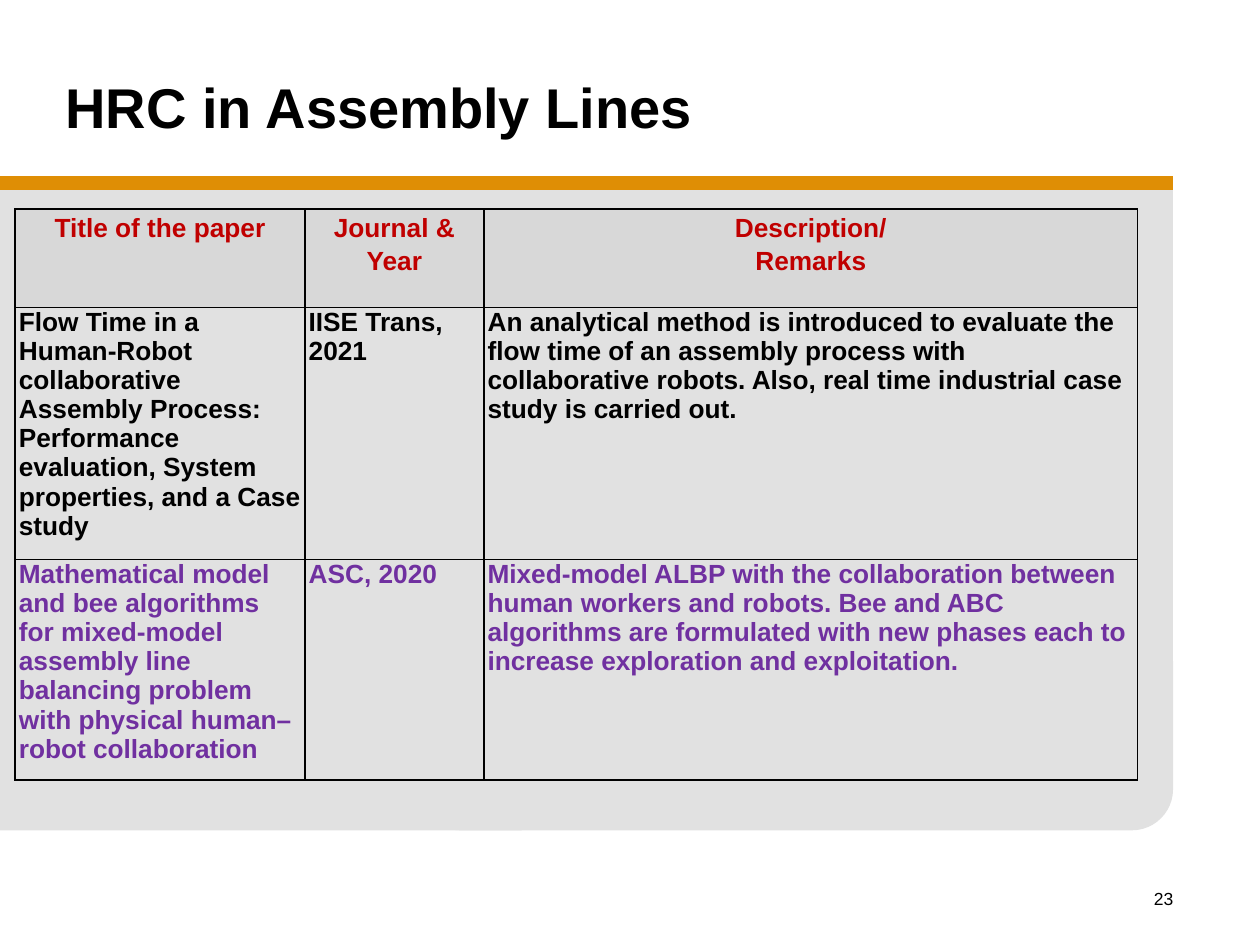
from lxml import etree
from pptx import Presentation
from pptx.dml.color import RGBColor
from pptx.enum.shapes import MSO_CONNECTOR, MSO_SHAPE
from pptx.enum.text import MSO_ANCHOR, MSO_AUTO_SIZE, PP_ALIGN
from pptx.oxml import parse_xml
from pptx.oxml.ns import nsdecls, qn
from pptx.util import Inches, Pt

RECT = MSO_SHAPE.RECTANGLE
ROUNDED = MSO_SHAPE.ROUNDED_RECTANGLE
STRAIGHT = MSO_CONNECTOR.STRAIGHT
LEFT, CENTER, RIGHT = PP_ALIGN.LEFT, PP_ALIGN.CENTER, PP_ALIGN.RIGHT
TOP, MIDDLE = MSO_ANCHOR.TOP, MSO_ANCHOR.MIDDLE
NO_AUTOFIT = MSO_AUTO_SIZE.NONE

FONT = "Arial"
COLORS = {
    "text": "000000",
    "panel": "E1E1E1",
    "rule": "DF8E05",
    "header_fill": "D8D8D8",
    "header_text": "C00000",
    "highlight": "7030A0",
}
TITLE_ONLY_LAYOUT = 5
PANEL_RIGHT = 9.31
COLUMN_WIDTHS = [2.3, 1.42, 5.19]
ROW_HEIGHTS = [0.78, 2, 1.75]
PAPERS = [
    ("header_text", ["Title of the paper", "Journal & Year", "Description/\nRemarks"]),
    ("text", [
        "Flow Time in a Human-Robot collaborative Assembly Process: "
        "Performance evaluation, System properties, and a Case study",
        "IISE Trans, 2021",
        "An analytical method is introduced to evaluate the flow time of an assembly "
        "process with collaborative robots. Also, real time industrial case study is "
        "carried out.",
    ]),
    ("highlight", [
        "Mathematical model and bee algorithms for mixed-model assembly line "
        "balancing problem with physical human–robot collaboration",
        "ASC, 2020",
        "Mixed-model ALBP with the collaboration between human workers and robots. "
        "Bee and ABC algorithms are formulated with new phases each to increase "
        "exploration and exploitation.",
    ]),
]


def rgb(color):
    return RGBColor.from_string(COLORS[color])


def format_text(frame, size, color="text", bold=False, align=LEFT, spacing=None):
    for paragraph in frame.paragraphs:
        paragraph.alignment = align
        paragraph.line_spacing = spacing
        for run in paragraph.runs:
            run.font.name = FONT
            run.font.size = Pt(size)
            run.font.bold = bold
            run.font.color.rgb = rgb(color)


def add_panel(slide, kind, left, top, width, height):
    panel = slide.shapes.add_shape(
        kind, Inches(left), Inches(top), Inches(width), Inches(height))
    panel.shadow.inherit = False
    panel.fill.solid()
    panel.fill.fore_color.rgb = rgb("panel")
    panel.line.fill.background()
    return panel


def add_background(slide):
    """Draw the grey panel with one rounded corner and the rule above it."""
    add_panel(slide, RECT, 0, 1.49, PANEL_RIGHT, 4.36)
    corner = add_panel(slide, ROUNDED, 3.33, 4.67, PANEL_RIGHT - 3.33, 1.92)
    corner.adjustments[0] = 0.17
    add_panel(slide, RECT, 0, 2.75, 4.14, 3.84)

    rule = slide.shapes.add_connector(
        STRAIGHT, 0, Inches(1.45), Inches(PANEL_RIGHT), Inches(1.45))
    rule.line.color.rgb = rgb("rule")
    rule.line.width = Pt(8)
    etree.SubElement(rule.element.spPr, qn("a:effectLst"))


def add_title(slide, text):
    title = slide.shapes.title
    title.left, title.top = Inches(0.42), Inches(0.17)
    title.width, title.height = Inches(9), Inches(1.35)
    frame = title.text_frame
    frame.text = text
    frame.auto_size = NO_AUTOFIT
    frame.vertical_anchor = MIDDLE
    format_text(frame, 32, bold=True)


def add_page_number(slide, number):
    box = slide.shapes.add_textbox(Inches(7.33), Inches(7), Inches(2.08), Inches(0.5))
    frame = box.text_frame
    frame.word_wrap = True
    frame.text = number
    format_text(frame, 10, align=RIGHT)


def add_borders(cell):
    properties = cell._tc.get_or_add_tcPr()
    for position, side in enumerate(("lnL", "lnR", "lnT", "lnB")):
        properties.insert(position, parse_xml(
            f'<a:{side} {nsdecls("a")} w="{Pt(1)}"><a:solidFill>'
            f'<a:srgbClr val="{COLORS["text"]}"/></a:solidFill></a:{side}>'))


def fill_cell(cell, text, color, is_header):
    cell.margin_left = cell.margin_right = Inches(0.03)
    cell.margin_top = cell.margin_bottom = 0
    cell.vertical_anchor = TOP
    cell.text_frame.text = text
    if is_header:
        cell.fill.solid()
        cell.fill.fore_color.rgb = rgb("header_fill")
        format_text(cell.text_frame, 15, color, True, CENTER, 1.15)
    else:
        cell.fill.background()
        format_text(cell.text_frame, 15, color, True)
    add_borders(cell)


def add_paper_table(slide):
    table = slide.shapes.add_table(
        len(PAPERS), len(COLUMN_WIDTHS), Inches(0.12), Inches(1.66),
        Inches(sum(COLUMN_WIDTHS)), Inches(sum(ROW_HEIGHTS))).table
    table.horz_banding = False
    for column, width in zip(table.columns, COLUMN_WIDTHS):
        column.width = Inches(width)
    for row_index, (row, height) in enumerate(zip(table.rows, ROW_HEIGHTS)):
        row.height = Inches(height)
        color, texts = PAPERS[row_index]
        for cell, text in zip(row.cells, texts):
            fill_cell(cell, text, color, row_index == 0)


def main():
    deck = Presentation()
    deck.slide_width, deck.slide_height = Inches(10), Inches(7.5)
    slide = deck.slides.add_slide(deck.slide_layouts[TITLE_ONLY_LAYOUT])
    add_background(slide)
    add_page_number(slide, "23")
    add_title(slide, "HRC in Assembly Lines")
    add_paper_table(slide)
    deck.save("out.pptx")


if __name__ == "__main__":
    main()
